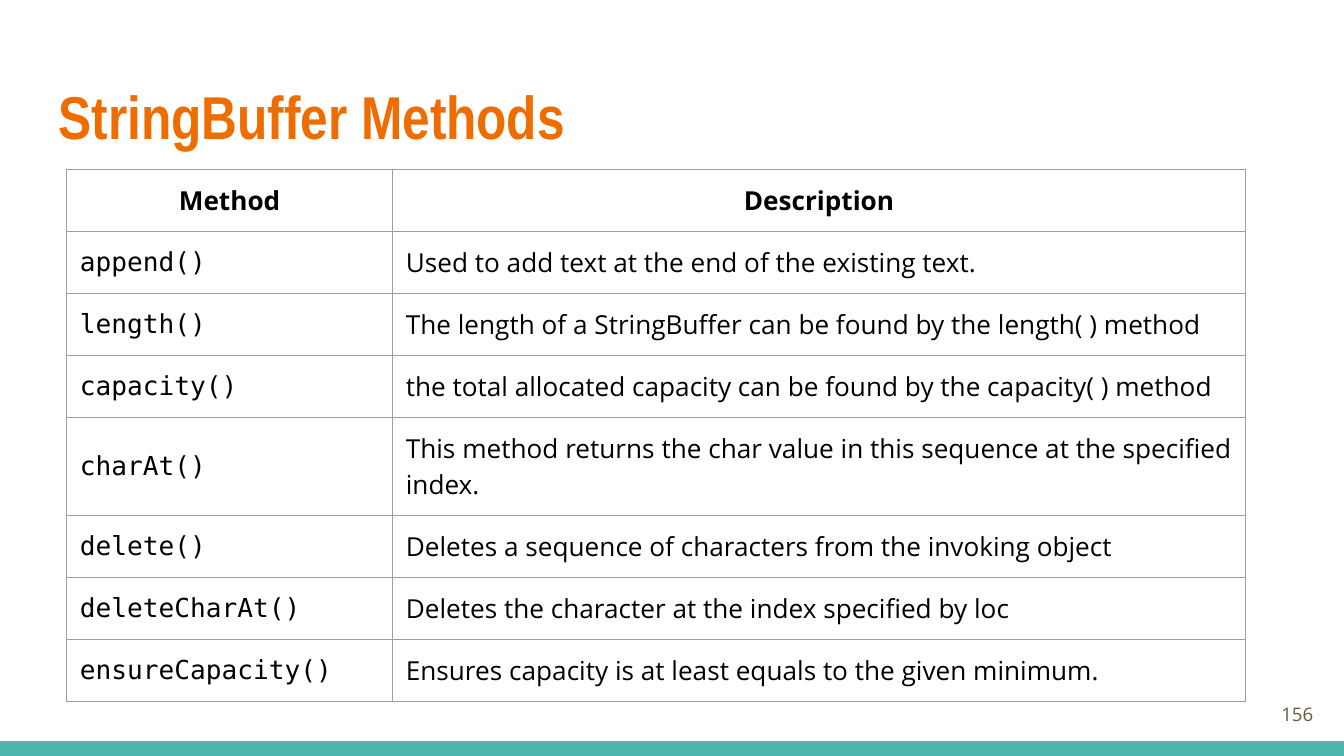
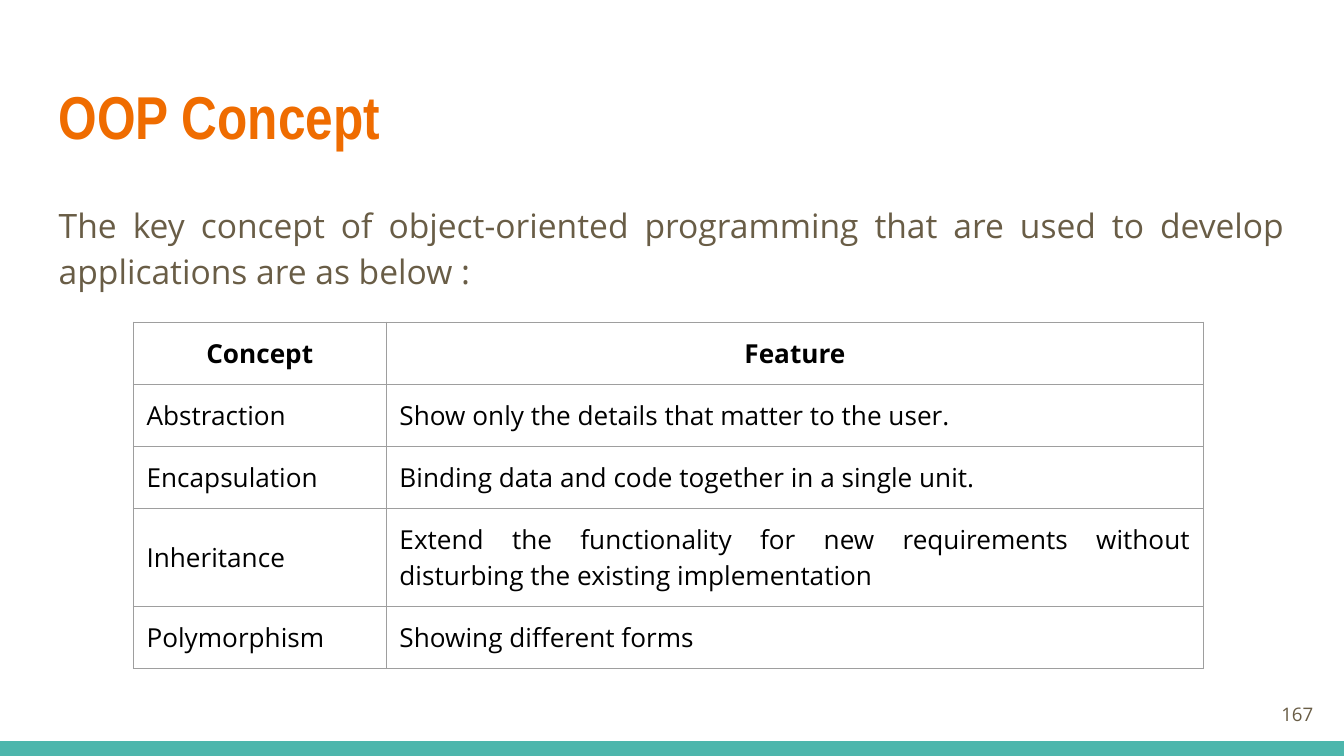
from lxml import etree
from pptx import Presentation
from pptx.dml.color import RGBColor
from pptx.enum.shapes import MSO_SHAPE
from pptx.enum.text import MSO_ANCHOR, MSO_AUTO_SIZE, PP_ALIGN
from pptx.oxml.ns import qn
from pptx.util import Cm, Pt

LEFT, CENTER, RIGHT, JUSTIFY = PP_ALIGN.LEFT, PP_ALIGN.CENTER, PP_ALIGN.RIGHT, PP_ALIGN.JUSTIFY
TOP, MIDDLE = MSO_ANCHOR.TOP, MSO_ANCHOR.MIDDLE
NO_AUTOFIT = MSO_AUTO_SIZE.NONE
RECTANGLE = MSO_SHAPE.RECTANGLE

ORANGE, TEAL, BROWN, BLACK, GRAY = "EF6C00", "4DB6AC", "695D46", "000000", "9E9E9E"
TITLE_FONT, TEXT_FONT, CODE_FONT = "Arial Narrow", "Open Sans", "DejaVu Sans Mono"
WIDTH, HEIGHT, BAND_HEIGHT = 25.4, 14.29, 0.28
MARGIN, TEXT_WIDTH, INSET, ROW_HEIGHT = 0.86, 23.67, 0.25, 1.06
TITLE_LAYOUT, BODY_LAYOUT = 5, 1

SLIDES = [
    {
        "title": "StringBuffer Methods",
        "number": "156",
        "table_at": (1.26, 3.2),
        "columns": (6.16, 16.12),
        "name_font": CODE_FONT,
        "description_anchor": MIDDLE,
        "rows": [
            ("Method", "Description"),
            ("append()", "Used to add text at the end of the existing text."),
            ("length()", "The length of a StringBuffer can be found by the length( ) method"),
            ("capacity()", "the total allocated capacity can be found by the capacity( ) method"),
            ("charAt()", "This method returns the char value in this sequence at the specified index."),
            ("delete()", "Deletes a sequence of characters from the invoking object"),
            ("deleteCharAt()", "Deletes the character at the index specified by loc"),
            ("ensureCapacity()", "Ensures capacity is at least equals to the given minimum."),
        ],
    },
    {
        "title": "OOP Concept",
        "body": "The key concept of object-oriented programming that are used to develop "
                "applications are as below :",
        "number": "167",
        "table_at": (2.52, 6.09),
        "columns": (4.78, 15.45),
        "name_font": TEXT_FONT,
        "description_anchor": TOP,
        "rows": [
            ("Concept", "Feature"),
            ("Abstraction", "Show only the details that matter to the user."),
            ("Encapsulation", "Binding data and code together in a single unit."),
            ("Inheritance", "Extend the functionality for new requirements without disturbing "
                            "the existing implementation"),
            ("Polymorphism", "Showing different forms"),
        ],
    },
]


def color(value):
    return RGBColor.from_string(value)


def place(shape, left, top, width, height):
    shape.left, shape.top, shape.width, shape.height = Cm(left), Cm(top), Cm(width), Cm(height)


def set_margins(target):
    target.margin_left = target.margin_right = Cm(INSET)
    target.margin_top = target.margin_bottom = Cm(INSET)


def write(text_frame, text, font, size, hex_color, alignment, bold=False):
    text_frame.text = text
    paragraph = text_frame.paragraphs[0]
    paragraph.alignment = alignment
    style = paragraph.runs[0].font
    style.name, style.size, style.bold = font, Pt(size), bold
    style.color.rgb = color(hex_color)
    return paragraph


def fill_box(shape, anchor, *text_style):
    text_frame = shape.text_frame
    text_frame.word_wrap = True
    text_frame.auto_size = NO_AUTOFIT
    text_frame.vertical_anchor = anchor
    set_margins(text_frame)
    return write(text_frame, *text_style)


def add_borders(cell):
    properties = cell._tc.get_or_add_tcPr()
    for index, side in enumerate(("a:lnL", "a:lnR", "a:lnT", "a:lnB")):
        line = etree.Element(qn(side), w=str(Pt(0.75)))
        fill = etree.SubElement(line, qn("a:solidFill"))
        etree.SubElement(fill, qn("a:srgbClr"), val=GRAY)
        properties.insert(index, line)


def add_title(slide, text):
    place(slide.shapes.title, MARGIN, 1.24, TEXT_WIDTH, 1.96)
    fill_box(slide.shapes.title, TOP, text, TITLE_FONT, 32.4, ORANGE, LEFT, True)


def add_body(slide, text):
    body = slide.placeholders[1]
    place(body, MARGIN, 3.51, TEXT_WIDTH, 2.29)
    paragraph = fill_box(body, TOP, text, TEXT_FONT, 18, BROWN, JUSTIFY)
    properties = paragraph._p.get_or_add_pPr()
    properties.set("marL", "0")
    properties.set("indent", "0")
    etree.SubElement(properties, qn("a:buNone"))
    paragraph.line_spacing = 1.15
    paragraph.space_before, paragraph.space_after = Pt(0), Pt(12)


def add_footer(slide, number):
    band = slide.shapes.add_shape(
        RECTANGLE, Cm(0), Cm(HEIGHT - BAND_HEIGHT), Cm(WIDTH), Cm(BAND_HEIGHT))
    band.shadow.inherit = False
    band.fill.solid()
    band.fill.fore_color.rgb = color(TEAL)
    band.line.fill.background()
    box = slide.shapes.add_textbox(Cm(23.55), Cm(12.95), Cm(1.52), Cm(1.09))
    fill_box(box, MIDDLE, number, TEXT_FONT, 10, BROWN, RIGHT)


def add_table(slide, content):
    rows, columns = content["rows"], content["columns"]
    left, top = content["table_at"]
    table = slide.shapes.add_table(
        len(rows), len(columns), Cm(left), Cm(top),
        Cm(sum(columns)), Cm(ROW_HEIGHT * len(rows))).table
    table.first_row = table.horz_banding = False
    for column, width in zip(table.columns, columns):
        column.width = Cm(width)
    body_styles = (
        (content["name_font"], LEFT, MIDDLE),
        (TEXT_FONT, JUSTIFY, content["description_anchor"]),
    )
    for row_index, texts in enumerate(rows):
        table.rows[row_index].height = Cm(ROW_HEIGHT)
        header = row_index == 0
        for column_index, text in enumerate(texts):
            font, alignment, anchor = (
                (TEXT_FONT, CENTER, MIDDLE) if header else body_styles[column_index])
            cell = table.cell(row_index, column_index)
            cell.vertical_anchor = anchor
            set_margins(cell)
            cell.fill.background()
            add_borders(cell)
            write(cell.text_frame, text, font, 14, BLACK, alignment, header)


def main():
    """Build the two table slides and save the presentation."""
    presentation = Presentation()
    presentation.slide_width, presentation.slide_height = Cm(WIDTH), Cm(HEIGHT)
    for content in SLIDES:
        layout = BODY_LAYOUT if "body" in content else TITLE_LAYOUT
        slide = presentation.slides.add_slide(presentation.slide_layouts[layout])
        add_title(slide, content["title"])
        if "body" in content:
            add_body(slide, content["body"])
        add_footer(slide, content["number"])
        add_table(slide, content)
    presentation.save("out.pptx")


if __name__ == "__main__":
    main()
